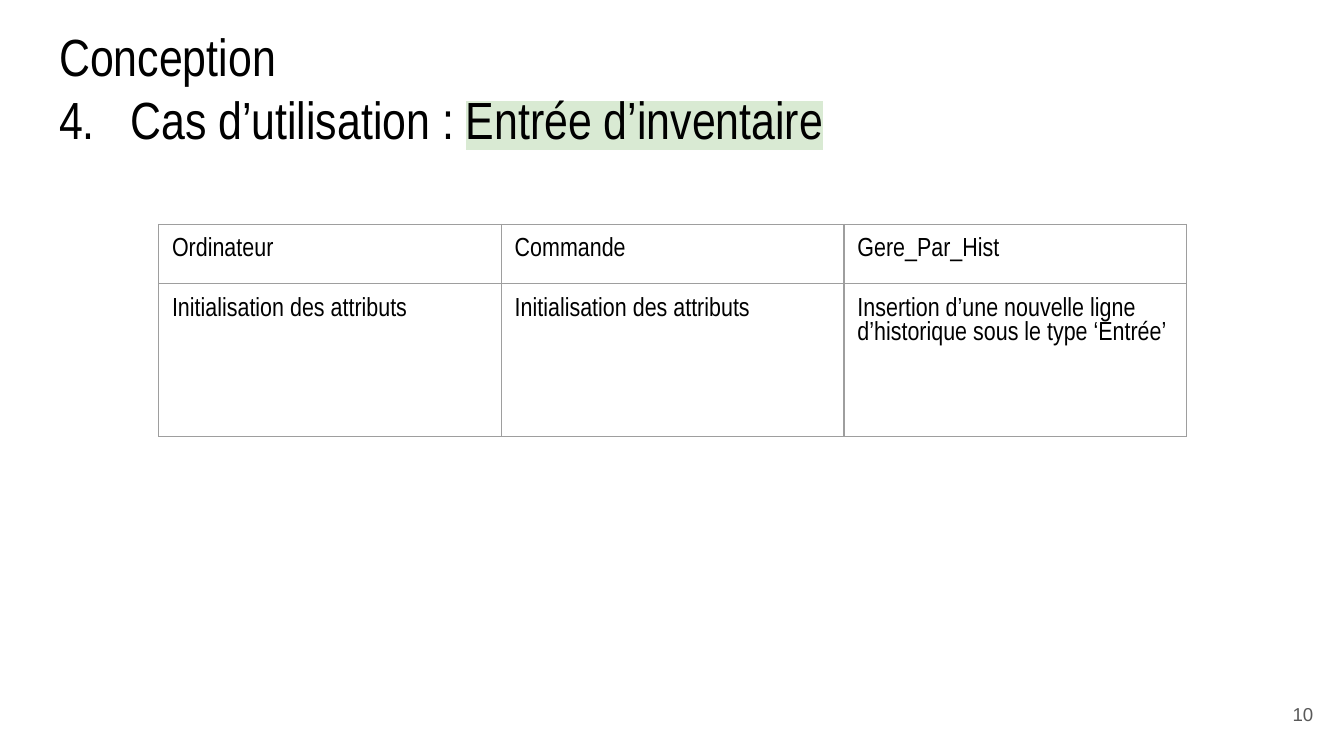
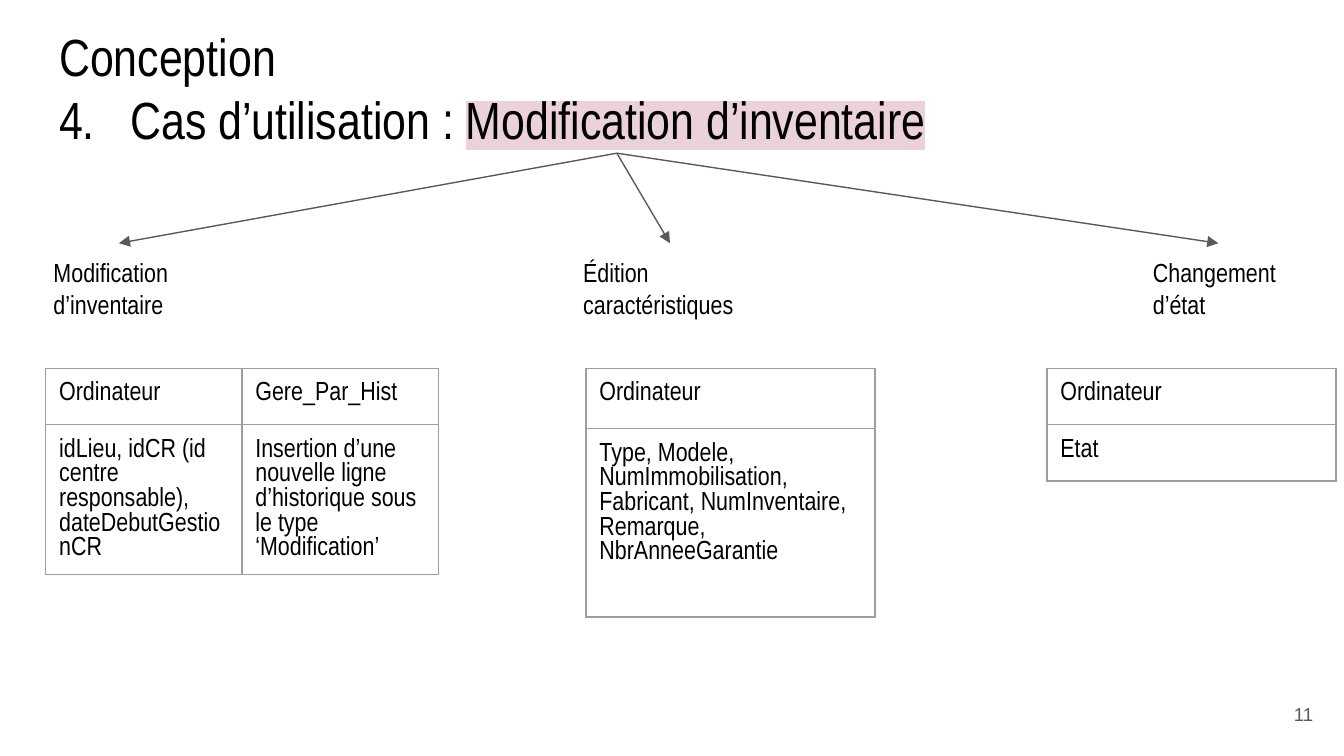
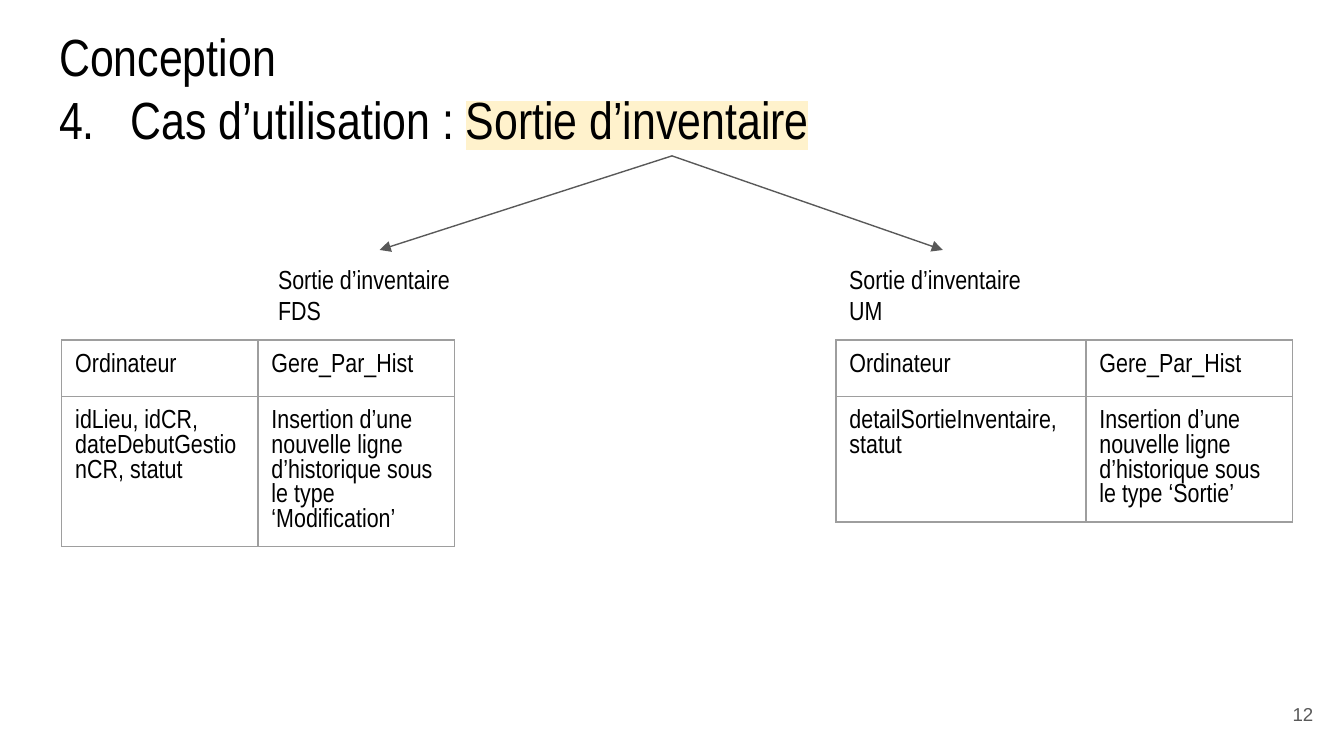
from lxml import etree
from pptx import Presentation, util as u
from pptx.dml.color import RGBColor
from pptx.enum import shapes, text
from pptx.oxml.ns import qn

# Shared look
WIDE, TALL = 10, 10 * 9 / 16
FONT, INK, GRAY, EDGE = "Arial Narrow", "000000", "595959", "9E9E9E"

# Content: branches hold label, left and width; tables hold left, top, columns, rows, cells
HIST = "Insertion d’une nouvelle ligne d’historique sous le type ‘%s’"
INIT = "Initialisation des attributs"
PAIR = ["Ordinateur", "Gere_Par_Hist"]

SLIDES = [
    dict(num=10, case="Entrée d’inventaire", tint="D9EAD3", tables=[
        (1.18, 1.67, [2.55] * 3, [0.44, 1.14],
         [["Ordinateur", "Commande", "Gere_Par_Hist"],
          [INIT, INIT, HIST % "Entrée"]]),
    ]),
    dict(num=11, case="Modification d’inventaire", tint="EAD1DC",
         root=(4.59, 1.14), drop=1.81,
         branches=[("Modification d’inventaire", 0.3, 1.17),
                   ("Édition caractéristiques", 4.24, 1.49),
                   ("Changement d’état", 8.48, 1.17)],
         tables=[
             (0.34, 2.74, [1.46] * 2, [0.42] * 2,
              [PAIR, ["idLieu, idCR (id centre responsable), dateDebutGestionCR",
                      HIST % "Modification"]]),
             (4.36, 2.74, [2.15], [0.45, 1.4],
              [["Ordinateur"],
               ["Type, Modele,\nNumImmobilisation, Fabricant, NumInventaire, "
                "Remarque, NbrAnneeGarantie"]]),
             (7.79, 2.74, [2.15], [0.42] * 2, [["Ordinateur"], ["Etat"]]),
         ]),
    dict(num=12, case="Sortie d’inventaire", tint="FFF2CC",
         root=(5, 1.16), drop=1.86,
         branches=[("Sortie d’inventaire FDS", 1.97, 1.71),
                   ("Sortie d’inventaire UM", 6.22, 1.59)],
         tables=[
             (0.46, 2.53, [1.46] * 2, [0.42] * 2,
              [PAIR, ["idLieu, idCR, dateDebutGestionCR, statut",
                      HIST % "Modification"]]),
             (6.22, 2.53, [1.86, 1.54], [0.42] * 2,
              [PAIR, ["detailSortieInventaire, statut", HIST % "Sortie"]]),
         ]),
]


def color(code):
    return RGBColor.from_string(code)


def inches(*vals):
    return [u.Inches(v) for v in vals]


def sub(node, tag, **attrs):
    return etree.SubElement(node, qn(tag), attrs)


def add_run(par, words, size=14, font=FONT, ink=INK, tint=None):
    run = par.add_run()
    run.text = words
    run.font.size, run.font.name = u.Pt(size), font
    run.font.color.rgb = color(ink)
    if tint:
        mark = etree.Element(qn("a:highlight"))
        sub(mark, "a:srgbClr", val=tint)
        run.font._element.find(qn("a:solidFill")).addnext(mark)


def set_frame(frame, anchor=text.MSO_ANCHOR.TOP):
    frame.word_wrap = True
    frame.auto_size = text.MSO_AUTO_SIZE.NONE
    frame.vertical_anchor = anchor
    frame.margin_left = frame.margin_right = u.Inches(0.1)
    frame.margin_top = frame.margin_bottom = u.Inches(0.1)
    return frame


def add_title(slide, case, tint):
    title = slide.shapes.title
    title.left, title.top, title.width, title.height = inches(0.34, 0.08, 9.32, 0.63)
    frame = set_frame(title.text_frame)
    head, line = frame.paragraphs[0], frame.add_paragraph()
    head.alignment = line.alignment = text.PP_ALIGN.LEFT
    add_run(head, "Conception", 28)
    # Hanging indent sets the gap after the number
    props = line._p.get_or_add_pPr()
    props.set("marL", str(u.Inches(0.53)))
    props.set("indent", str(-u.Inches(0.53)))
    add_run(line, "4.\tCas d’utilisation : ", 28)
    add_run(line, case, 28, tint=tint)
    add_run(line, " ", 28)


def add_label(slide, words, left, top, width):
    box = slide.shapes.add_textbox(*inches(left, top, width, 0.63))
    add_run(set_frame(box.text_frame).paragraphs[0], words)


def add_arrow(slide, root, tip):
    line = slide.shapes.add_connector(shapes.MSO_CONNECTOR.STRAIGHT, *inches(*root, *tip))
    line.line.color.rgb, line.line.width = color(GRAY), u.Pt(0.75)
    sub(line.line._get_or_add_ln(), "a:tailEnd", type="triangle")
    sub(line._element.spPr, "a:effectLst")


def set_cell(cell, words):
    cell.margin_left = cell.margin_right = u.Inches(0.1)
    cell.margin_top = cell.margin_bottom = u.Inches(0.1)
    frame = cell.text_frame
    for i, part in enumerate(words.split("\n")):
        add_run(frame.add_paragraph() if i else frame.paragraphs[0], part)
    # Borders come before the fill
    props = cell._tc.get_or_add_tcPr()
    for side in "LRTB":
        edge = sub(props, "a:ln" + side, w=str(u.Pt(0.75)))
        sub(sub(edge, "a:solidFill"), "a:srgbClr", val=EDGE)
    cell.fill.background()


def add_grid(slide, left, top, cols, rows, cells):
    grid = slide.shapes.add_table(len(rows), len(cols),
                                  *inches(left, top, sum(cols), sum(rows))).table
    grid.first_row = grid.horz_banding = False
    for col, width in zip(grid.columns, cols):
        col.width = u.Inches(width)
    for row, height, line in zip(grid.rows, rows, cells):
        row.height = u.Inches(height)
        for cell, words in zip(row.cells, line):
            set_cell(cell, words)


def add_number(slide, num):
    box = slide.shapes.add_textbox(*inches(9.27, 5.1, 0.6, 0.43))
    par = set_frame(box.text_frame, text.MSO_ANCHOR.MIDDLE).paragraphs[0]
    par.alignment = text.PP_ALIGN.RIGHT
    add_run(par, str(num), 10, "Arial", GRAY)


def main():
    prs = Presentation()
    prs.slide_width, prs.slide_height = inches(WIDE, TALL)
    for item in SLIDES:
        slide = prs.slides.add_slide(prs.slide_layouts[5])
        add_title(slide, item["case"], item["tint"])
        # Each arrow lands on the middle of its label
        for words, left, width in item.get("branches", []):
            add_label(slide, words, left, item["drop"], width)
            add_arrow(slide, item["root"], (left + width / 2, item["drop"]))
        for grid in item["tables"]:
            add_grid(slide, *grid)
        add_number(slide, item["num"])
    prs.save("out.pptx")


if __name__ == "__main__":
    main()
